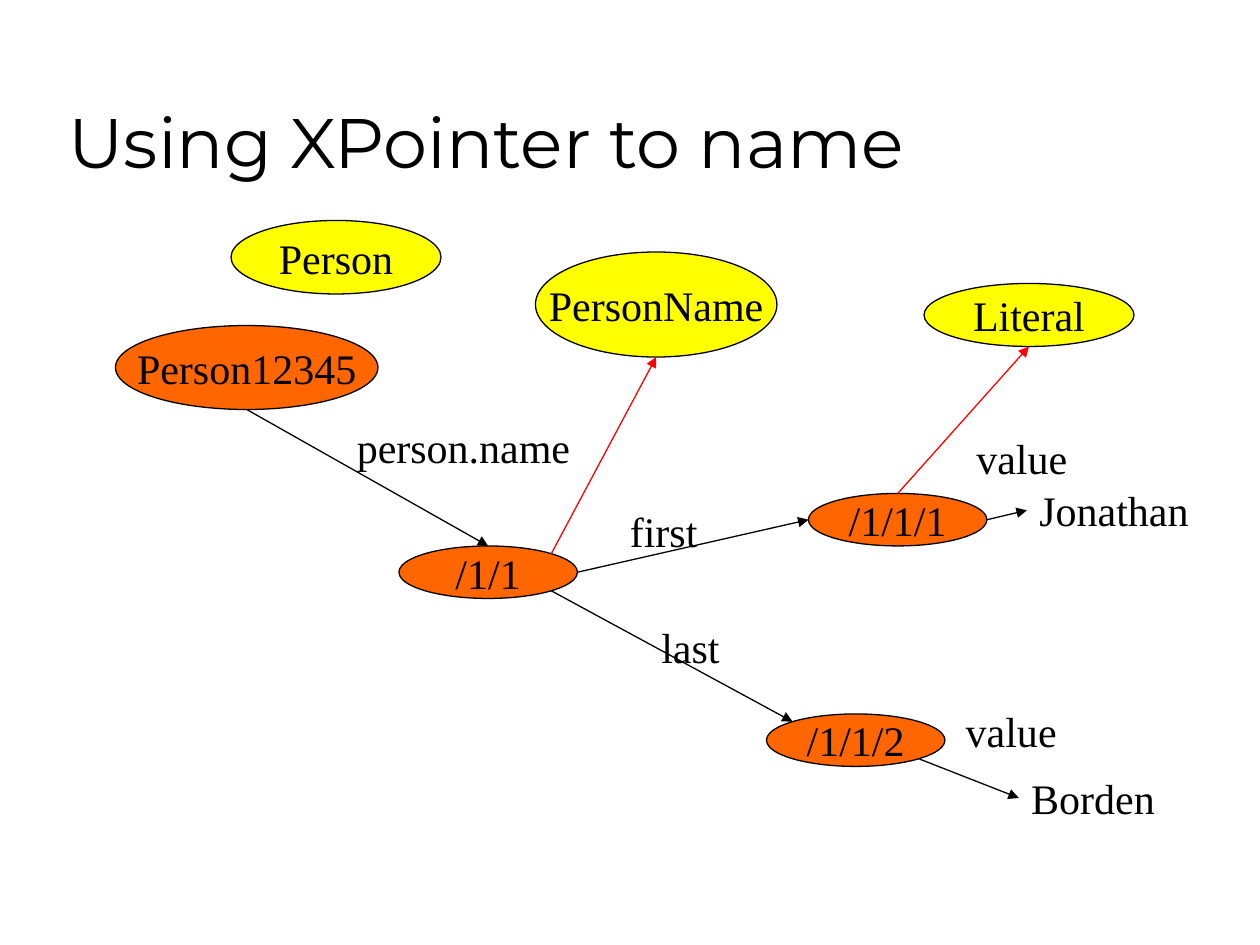
from dataclasses import dataclass
from math import cos, radians, sin

from lxml import etree
from pptx import Presentation
from pptx import util as u
from pptx.dml.color import RGBColor
from pptx.enum import shapes, text
from pptx.oxml.ns import qn

BLACK, RED, ORANGE, YELLOW = "000000", "FF0000", "FF6600", "FFFF00"
LINE_WIDTH = 0.75
LABEL_HEIGHT = 36

# Angles of the points on an ellipse, clockwise from the right
RIGHT, LOWER_RIGHT, BOTTOM, LEFT, UPPER_LEFT, TOP, UPPER_RIGHT = 0, 45, 90, 180, 225, 270, 315


@dataclass(frozen=True)
class Node:
    caption: str
    left: float
    top: float
    width: float
    height: float
    fill: str = ORANGE

    def site(self, angle: float) -> tuple[float, float]:
        """Return the point of the outline at the given angle."""
        return (
            self.left + self.width / 2 * (1 + cos(radians(angle))),
            self.top + self.height / 2 * (1 + sin(radians(angle))),
        )


@dataclass(frozen=True)
class Label:
    caption: str
    left: float
    top: float
    width: float

    def left_middle(self) -> tuple[float, float]:
        return self.left, self.top + LABEL_HEIGHT / 2


@dataclass(frozen=True)
class Arrow:
    start: tuple[float, float]
    end: tuple[float, float]
    color: str = BLACK


PERSON_12345 = Node("Person12345", 66, 186, 150, 48)
NAME = Node("/1/1", 228, 312, 102, 30)
FIRST = Node("/1/1/1", 462, 282, 102, 30)
LAST = Node("/1/1/2", 438, 408, 102, 30)
PERSON_TYPE = Node("Person", 132, 126, 120, 42, YELLOW)
NAME_TYPE = Node("PersonName", 306, 144, 138, 60, YELLOW)
LITERAL_TYPE = Node("Literal", 528, 162, 120, 36, YELLOW)
NODES = [PERSON_12345, NAME, FIRST, LAST, PERSON_TYPE, NAME_TYPE, LITERAL_TYPE]

JONATHAN = Label("Jonathan", 586.8, 273.6, 101)
BORDEN = Label("Borden", 582.2, 438, 86)
LABELS = [
    JONATHAN,
    BORDEN,
    Label("person.name", 196.8, 237.6, 138),
    Label("first", 352.8, 285.4, 54),
    Label("last", 370.8, 351.6, 48.5),
    Label("value", 550.8, 243.6, 67),
    Label("value", 544.8, 399.6, 67),
]

ARROWS = [
    Arrow(PERSON_12345.site(BOTTOM), NAME.site(TOP)),
    Arrow(NAME.site(RIGHT), FIRST.site(LEFT)),
    Arrow(NAME.site(LOWER_RIGHT), LAST.site(UPPER_LEFT)),
    Arrow(FIRST.site(RIGHT), JONATHAN.left_middle()),
    Arrow(LAST.site(LOWER_RIGHT), BORDEN.left_middle()),
    Arrow(NAME.site(UPPER_RIGHT), NAME_TYPE.site(BOTTOM), RED),
    Arrow(FIRST.site(TOP), LITERAL_TYPE.site(BOTTOM), RED),
]


def rgb(color: str) -> RGBColor:
    return RGBColor.from_string(color)


def write_text(shape, caption: str, *, font="Times New Roman", size=24, color=BLACK,
               align=text.PP_ALIGN.LEFT, anchor=text.MSO_ANCHOR.TOP, wrap=False) -> None:
    frame = shape.text_frame
    frame.word_wrap = wrap
    frame.vertical_anchor = anchor
    paragraph = frame.paragraphs[0]
    paragraph.alignment = align
    run = paragraph.add_run()
    run.text = caption
    run.font.name = font
    run.font.size = u.Pt(size)
    run.font.color.rgb = rgb(color)


def place_title(slide, caption: str) -> None:
    title = slide.shapes.title
    title.left, title.top = u.Pt(32), u.Pt(18)
    title.width, title.height = u.Pt(612), u.Pt(90)
    write_text(title, caption, font="Montserrat", size=40,
               anchor=text.MSO_ANCHOR.BOTTOM, wrap=True)


def draw_node(slide, node: Node) -> None:
    shape = slide.shapes.add_shape(
        shapes.MSO_SHAPE.OVAL,
        u.Pt(node.left), u.Pt(node.top), u.Pt(node.width), u.Pt(node.height))
    shape.shadow.inherit = False
    shape.fill.solid()
    shape.fill.fore_color.rgb = rgb(node.fill)
    shape.line.color.rgb = rgb(BLACK)
    shape.line.width = u.Pt(LINE_WIDTH)
    write_text(shape, node.caption, align=text.PP_ALIGN.CENTER,
               anchor=text.MSO_ANCHOR.MIDDLE)


def draw_label(slide, label: Label) -> None:
    box = slide.shapes.add_textbox(
        u.Pt(label.left), u.Pt(label.top), u.Pt(label.width), u.Pt(LABEL_HEIGHT))
    write_text(box, label.caption)


def draw_arrow(slide, arrow: Arrow) -> None:
    connector = slide.shapes.add_connector(
        shapes.MSO_CONNECTOR.STRAIGHT,
        *(u.Pt(value) for value in (*arrow.start, *arrow.end)))
    connector.line.color.rgb = rgb(arrow.color)
    connector.line.width = u.Pt(LINE_WIDTH)
    properties = connector.element.spPr
    etree.SubElement(properties.find(qn("a:ln")), qn("a:tailEnd"), type="triangle")
    etree.SubElement(properties, qn("a:effectLst"))


def main() -> None:
    presentation = Presentation()
    presentation.slide_width, presentation.slide_height = u.Pt(720), u.Pt(540)
    title_only = presentation.slide_layouts[5]
    slide = presentation.slides.add_slide(title_only)
    place_title(slide, "Using XPointer to name")
    for node in NODES:
        draw_node(slide, node)
    for arrow in ARROWS:
        draw_arrow(slide, arrow)
    for label in LABELS:
        draw_label(slide, label)
    presentation.save("out.pptx")


if __name__ == "__main__":
    main()
